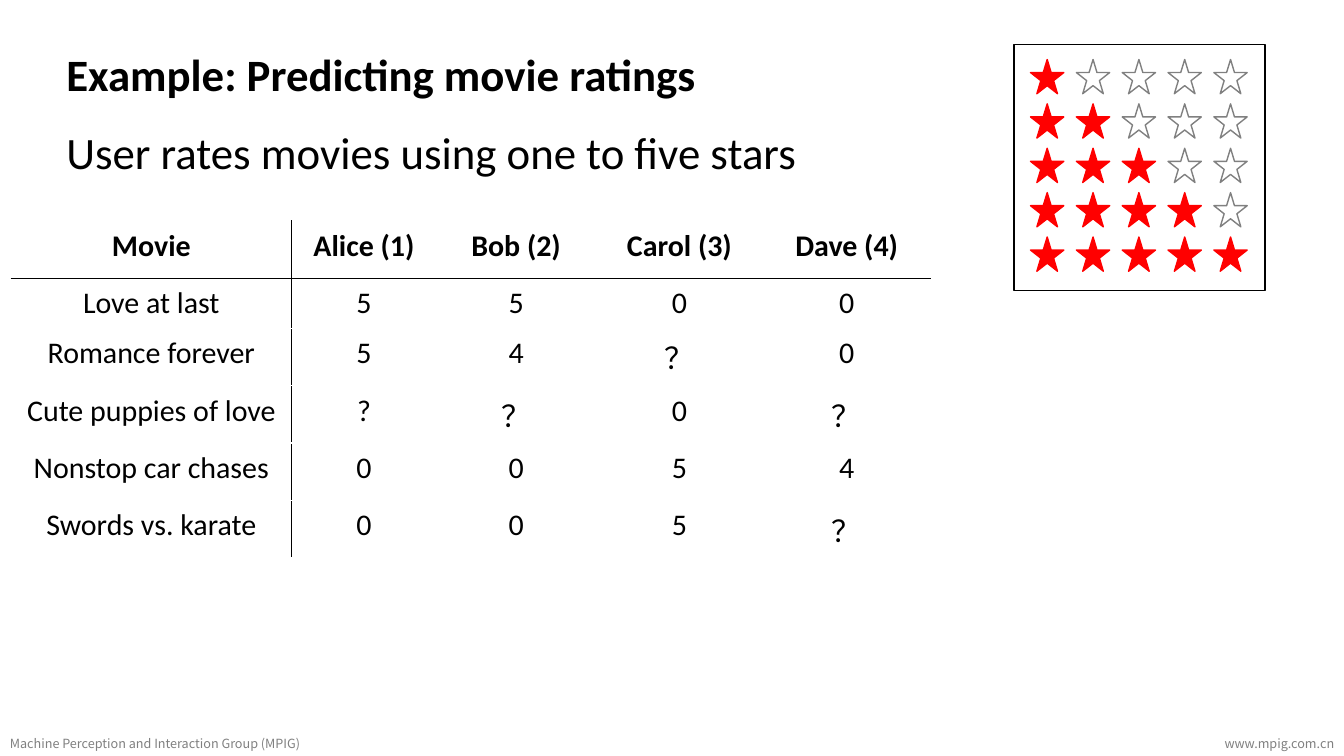
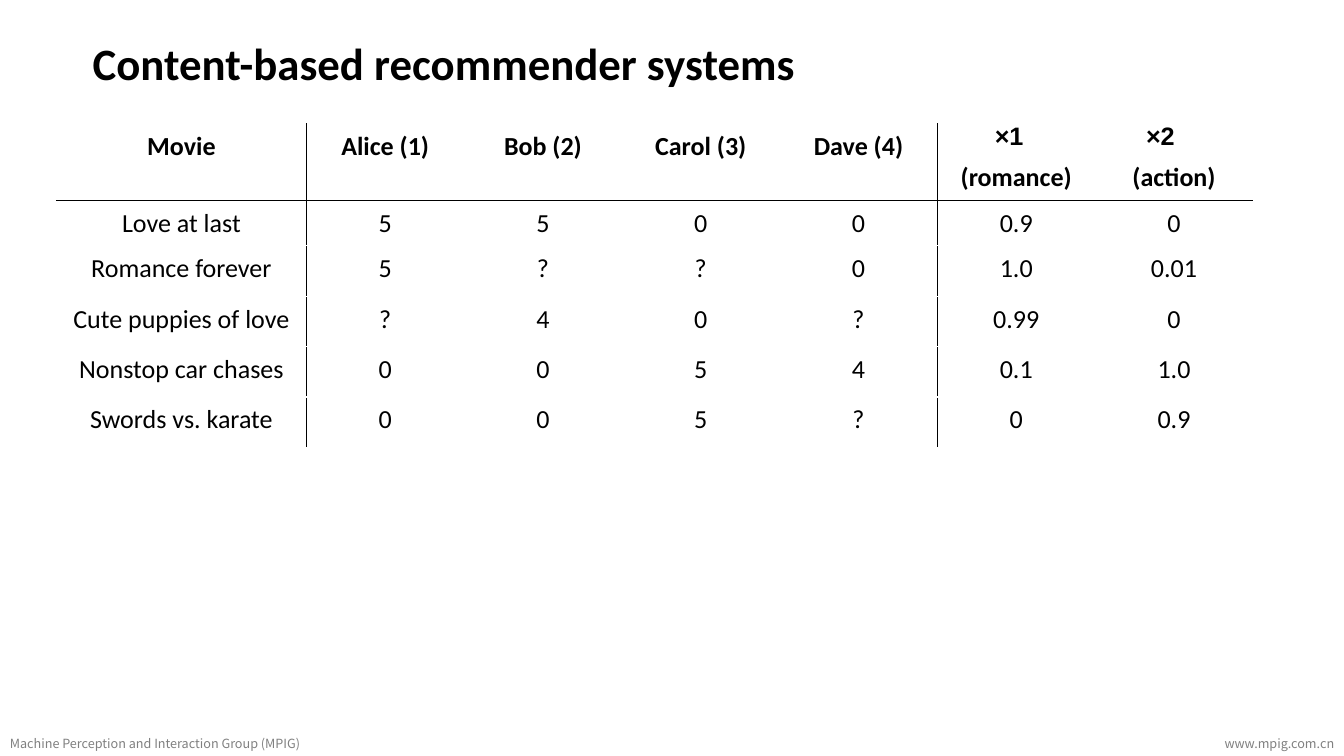
from lxml import etree
from pptx import Presentation
from pptx import util as u
from pptx.dml.color import RGBColor
from pptx.enum import shapes, text
from pptx.oxml import ns

COLORS = {"ink": "000000", "muted": "808080", "paper": "FFFFFF", "star": "FF0000"}
BODY_FONT, FOOTER_FONT, SYMBOL_FONT = "Calibri", "Noto Sans CJK TC", "Arial"
TITLE_SIZE = 32
STAR_COUNT = 5

# The slide is a grid of 100 columns by 100 rows
SLIDE_WIDTH, SLIDE_HEIGHT = u.Inches(13.33), u.Inches(7.5)


def columns(count):
    return u.Emu(round(SLIDE_WIDTH * count / 100))


def rows(count):
    return u.Emu(round(SLIDE_HEIGHT * count / 100))


def place(left, top, width, height):
    return columns(left), rows(top), columns(width), rows(height)


def color(name):
    return RGBColor.from_string(COLORS[name])


# Text
def style_paragraph(para, size, font=BODY_FONT, ink="ink", bold=False,
                    align=text.PP_ALIGN.LEFT):
    para.alignment = align
    para.font.name = font
    para.font.size = u.Pt(size)
    para.font.bold = bold
    para.font.color.rgb = color(ink)


def add_text(page, area, words, size=TITLE_SIZE, wrap=True, **style):
    box = page.shapes.add_textbox(*place(*area))
    box.text_frame.word_wrap = wrap
    box.text_frame.text = words
    style_paragraph(box.text_frame.paragraphs[0], size, **style)


def add_page(deck):
    page = deck.slides.add_slide(deck.slide_layouts[6])
    footer = dict(size=9, font=FOOTER_FONT, ink="muted")
    add_text(page, (0, 96.67, 42.7, 3.33),
             "Machine Perception and Interaction Group (MPIG)", **footer)
    add_text(page, (71.25, 96.67, 28.75, 3.33), "www.mpig.com.cn",
             align=text.PP_ALIGN.RIGHT, **footer)
    return page


# Rating tables
def add_border(cell, side):
    line = etree.SubElement(cell._tc.get_or_add_tcPr(), ns.qn(f"a:ln{side}"),
                            w=str(u.Pt(1)))
    fill = etree.SubElement(line, ns.qn("a:solidFill"))
    etree.SubElement(fill, ns.qn("a:srgbClr"), val=COLORS["ink"])


def style_cell(cell, size, heading):
    cell.margin_left = cell.margin_right = columns(0.98)
    cell.margin_top = cell.margin_bottom = rows(0.93)
    style_paragraph(cell.text_frame.paragraphs[0], size, bold=heading,
                    align=text.PP_ALIGN.CENTER)


def add_ratings(page, left, top, widths, heights, size, records, ruled_columns):
    """Draw a rule below the headings and one right of each ruled column."""
    frame = page.shapes.add_table(
        len(heights), len(widths),
        *place(left, top, sum(widths), sum(heights)))
    table = frame.table
    table.first_row = table.horz_banding = False
    for column, width in zip(table.columns, widths):
        column.width = columns(width)
    for row, height in zip(table.rows, heights):
        row.height = rows(height)
    for r, record in enumerate(records):
        for c, value in enumerate(record):
            cell = table.cell(r, c)
            cell.text = value
            style_cell(cell, size, heading=r == 0)
            # Feature names sit below their symbols
            if value.startswith("("):
                cell.vertical_anchor = text.MSO_ANCHOR.BOTTOM
            edges = {"L": c - 1 in ruled_columns, "R": c in ruled_columns,
                     "T": r == 1, "B": r == 0}
            for side, ruled in edges.items():
                if ruled:
                    add_border(cell, side)
            cell.fill.background()


# Star scale
def add_figure(page, kind, area, fill, line):
    figure = page.shapes.add_shape(kind, *place(*area))
    figure.shadow.inherit = False
    figure.fill.solid()
    figure.fill.fore_color.rgb = color(fill)
    figure.line.color.rgb = color(line)
    figure.line.width = u.Pt(1)


def add_star_scale(page):
    add_figure(page, shapes.MSO_SHAPE.RECTANGLE, (75.45, 5.87, 18.68, 32.53),
               "paper", "ink")
    for r in range(STAR_COUNT):
        for c in range(STAR_COUNT):
            fill, line = ("star", "star") if c <= r else ("paper", "muted")
            area = (76.68 + 3.41 * c, 7.87 + 5.87 * r, 2.48, 4.53)
            add_figure(page, shapes.MSO_SHAPE.STAR_5_POINT, area, fill, line)


# Slides
HEADINGS = ["Movie", "Alice (1)", "Bob (2)", "Carol (3)", "Dave (4)"]
MOVIES = ["Love at last", "Romance forever", "Cute puppies of love",
          "Nonstop car chases", "Swords vs. karate"]


def with_movies(ratings):
    return [[movie, *values.split()] for movie, values in zip(MOVIES, ratings)]


def build_example(deck):
    page = add_page(deck)
    add_text(page, (4.2, 5.47, 90.83, 8.53),
             "Example: Predicting movie ratings", bold=True)
    add_text(page, (4.2, 15.87, 90.83, 8.53),
             "User rates movies using one to five stars")
    ratings = ["5 5 0 0", "5 4 ？ 0", "? ？ 0 ？", "0 0 5 4", "0 0 5 ？"]
    add_ratings(page, 0.83, 29.2, [20.85, 10.8, 11.85, 12.45, 12.45],
                [7.6, 6.53] + [7.6] * 4, 21.4,
                [HEADINGS] + with_movies(ratings), ruled_columns={0})
    add_star_scale(page)


def build_content_based(deck):
    page = add_page(deck)
    ratings = ["5 5 0 0 0.9 0", "5 ? ? 0 1.0 0.01", "? 4 0 ? 0.99 0",
               "0 0 5 4 0.1 1.0", "0 0 5 ? 0 0.9"]
    add_ratings(page, 4.2, 16.4, [18.6] + [11.74] * 6,
                [10.13, 6] + [6.67] * 4, 18.6,
                [HEADINGS + ["(romance)", "(action)"]] + with_movies(ratings),
                ruled_columns={0, 4})
    add_text(page, (6.15, 4, 53.78, 8.53), "Content-based recommender systems",
             wrap=False, bold=True)
    for left, symbol in ((73.28, "×1"), (84.53, "×2")):
        add_text(page, (left, 15.2, 6, 5.33), symbol, size=18,
                 font=SYMBOL_FONT, bold=True)


def main():
    deck = Presentation()
    deck.slide_width, deck.slide_height = SLIDE_WIDTH, SLIDE_HEIGHT
    build_example(deck)
    build_content_based(deck)
    deck.save("out.pptx")


if __name__ == "__main__":
    main()
